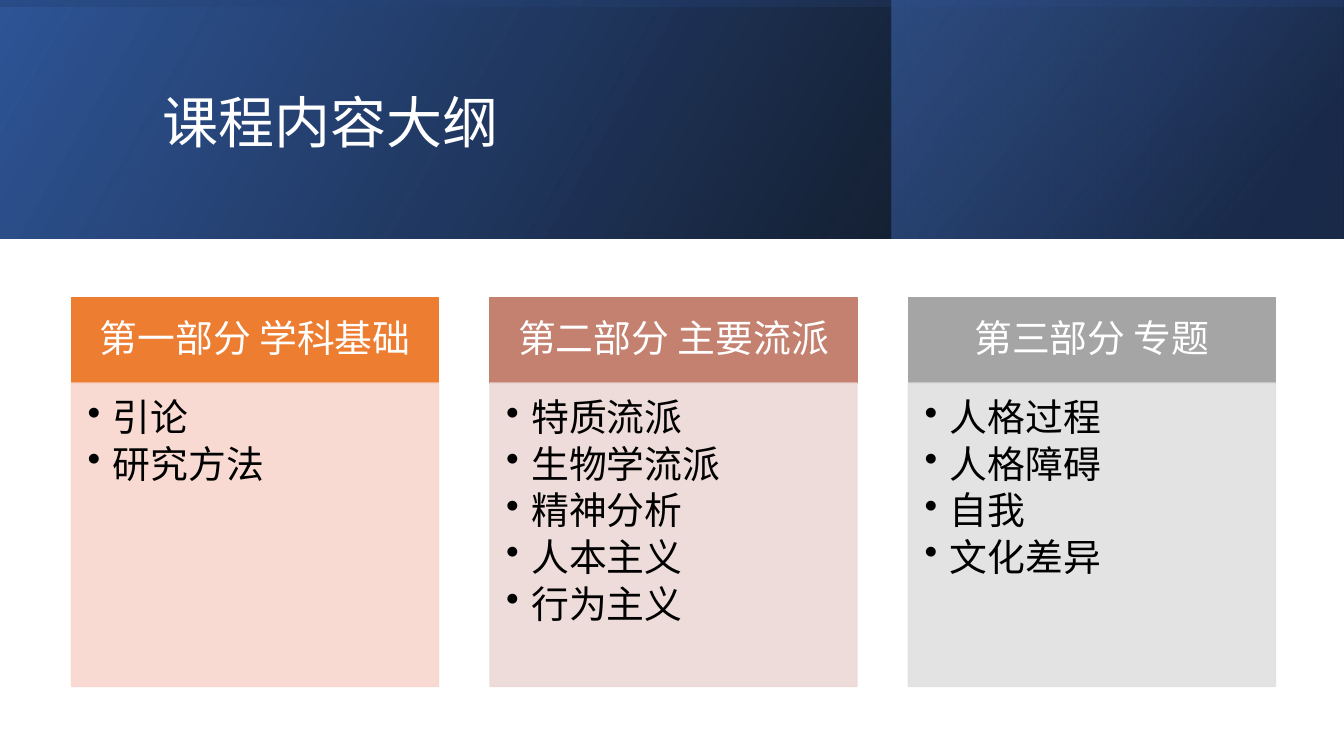
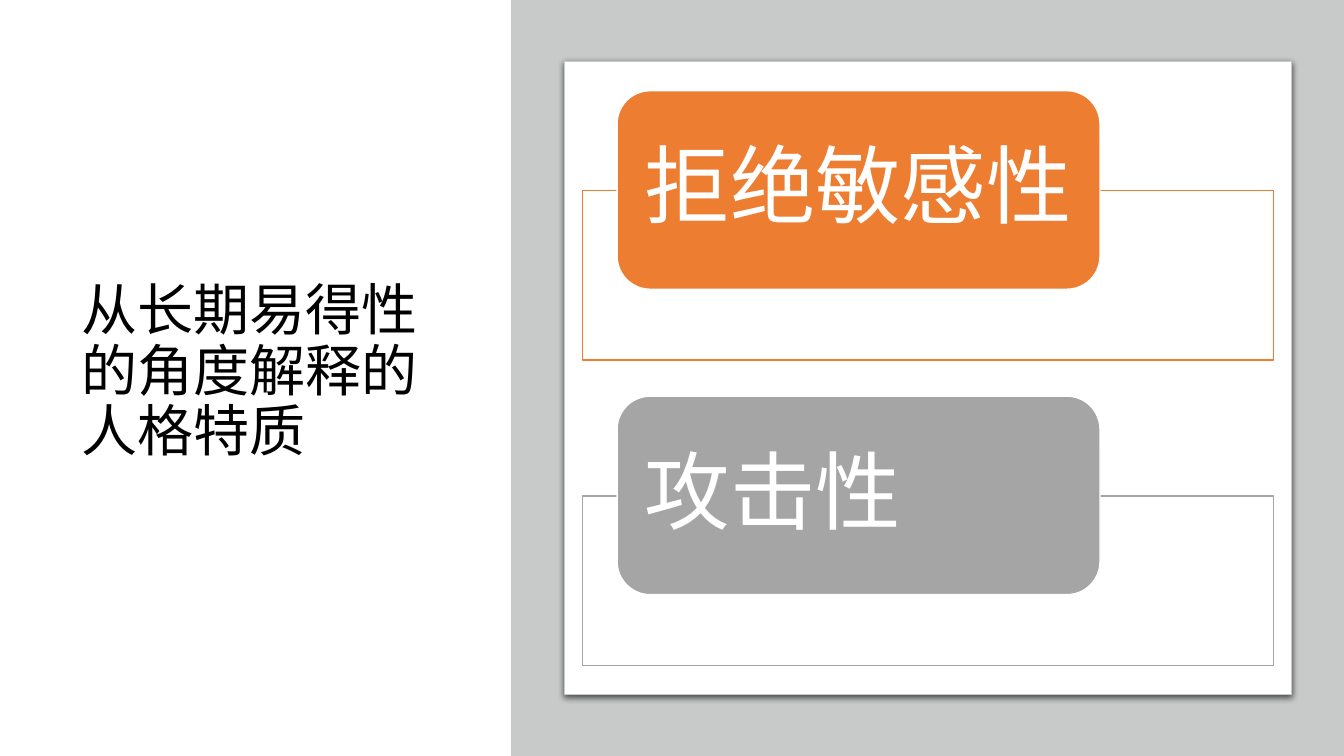
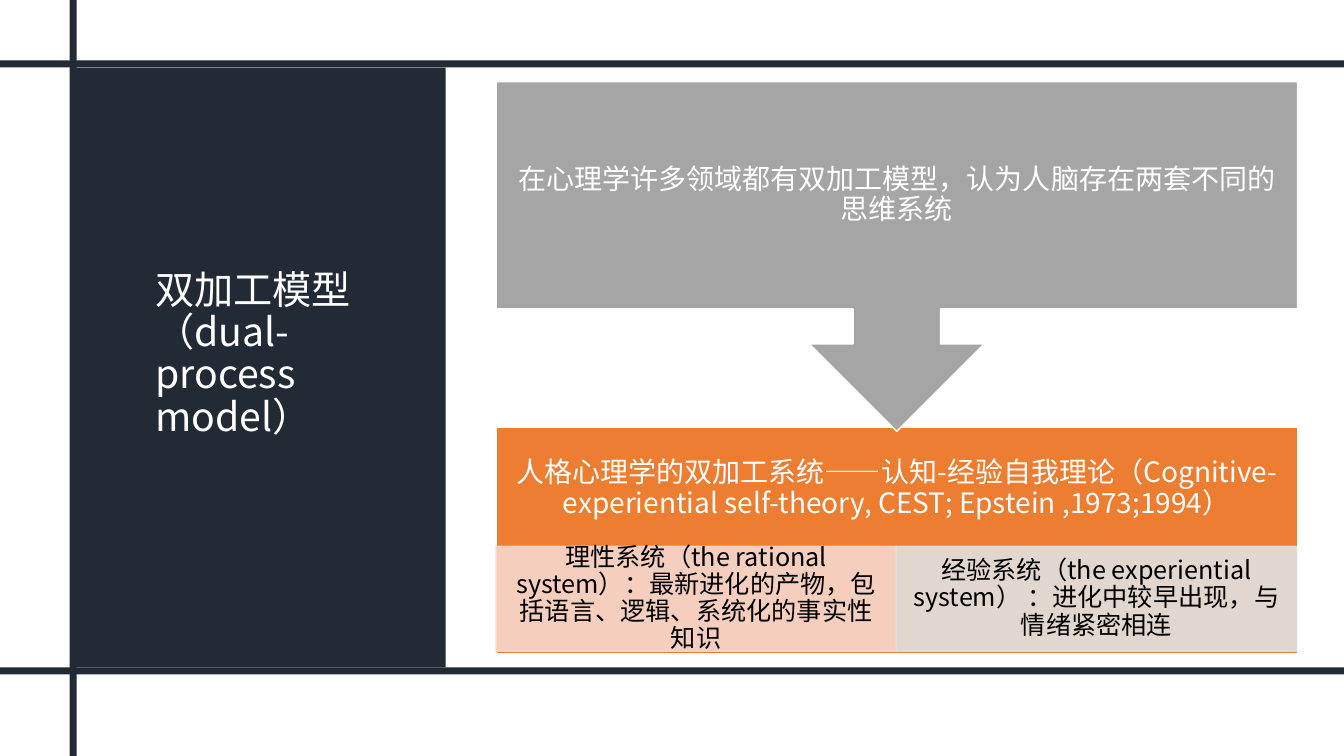
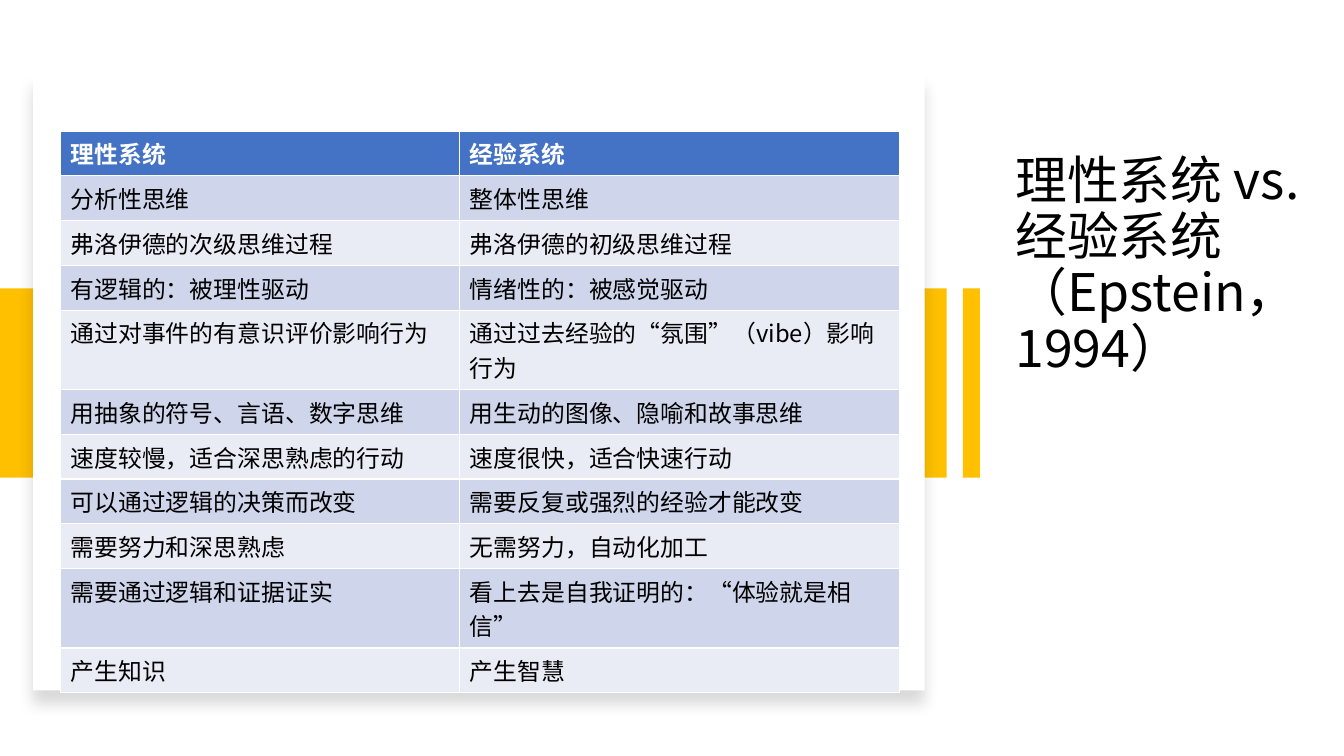
"""Build four slides of a personality psychology course."""
from lxml.etree import SubElement
from pptx import Presentation
from pptx.dml.color import RGBColor
from pptx.enum.shapes import MSO_SHAPE
from pptx.enum.text import MSO_ANCHOR, MSO_AUTO_SIZE, PP_ALIGN
from pptx.oxml.ns import qn
from pptx.util import Inches, Pt

FONT = "Noto Sans CJK SC"
WHITE = RGBColor(0xFF, 0xFF, 0xFF)
BLACK = RGBColor(0x00, 0x00, 0x00)
ORANGE = RGBColor(0xED, 0x7D, 0x31)
ROSE = RGBColor(0xC4, 0x81, 0x70)
GRAY = RGBColor(0xA5, 0xA5, 0xA5)
PEACH = RGBColor(0xF8, 0xD7, 0xCE)
BLUSH = RGBColor(0xED, 0xD9, 0xD7)
PALE = RGBColor(0xE1, 0xE1, 0xE1)
SILVER = RGBColor(0xC8, 0xCA, 0xCA)
SLATE = RGBColor(0x22, 0x2A, 0x35)
GOLD = RGBColor(0xFF, 0xC0, 0x00)
BLUE = RGBColor(0x44, 0x72, 0xC4)
ROYAL = RGBColor(0x2F, 0x55, 0x97)
NAVY = RGBColor(0x20, 0x38, 0x64)
BANDS = (RGBColor(0xE9, 0xEB, 0xF5), RGBColor(0xCF, 0xD5, 0xEA))

WIDE, HIGH = 13.33, 7.5
HEAD = 2.37

BANNER = [
    ((0, 0, WIDE, HEAD), 0, 330, [(0, BLACK, 96), (100, ROYAL, 100)]),
    ((8.84, 0, 4.48, HEAD), 0, 320, [(19, NAVY, 68), (100, BLUE, 48)]),
    (((WIDE - HEAD) / 2, (HEAD - WIDE) / 2, HEAD, WIDE), 270, 350,
     [(23, ROYAL, 16), (99, BLACK, 45)]),
]
PARTS = [
    ("第一部分 学科基础", ORANGE, PEACH, ["引论", "研究方法"]),
    ("第二部分 主要流派", ROSE, BLUSH,
     ["特质流派", "生物学流派", "精神分析", "人本主义", "行为主义"]),
    ("第三部分 专题", GRAY, PALE, ["人格过程", "人格障碍", "自我", "文化差异"]),
]
TRAITS = [("拒绝敏感性", ORANGE), ("攻击性", GRAY)]
CLAIM = "在心理学许多领域都有双加工模型，认为人脑存在两套不同的思维系统"
THEORY = ("人格心理学的双加工系统——认知-经验自我理论"
          "（Cognitive-experiential self-theory, CEST; Epstein ,1973;1994）")
MODES = [
    ("理性系统（the rational system）：最新进化的产物，包括语言、逻辑、系统化的事实性知识", PEACH),
    ("经验系统（the experiential system） ：进化中较早出现，与情绪紧密相连", PALE),
]
ROWS = [
    ("理性系统", "经验系统"),
    ("分析性思维", "整体性思维"),
    ("弗洛伊德的次级思维过程", "弗洛伊德的初级思维过程"),
    ("有逻辑的：被理性驱动", "情绪性的：被感觉驱动"),
    ("通过对事件的有意识评价影响行为", "通过过去经验的“氛围”（vibe）影响行为"),
    ("用抽象的符号、言语、数字思维", "用生动的图像、隐喻和故事思维"),
    ("速度较慢，适合深思熟虑的行动", "速度很快，适合快速行动"),
    ("可以通过逻辑的决策而改变", "需要反复或强烈的经验才能改变"),
    ("需要努力和深思熟虑", "无需努力，自动化加工"),
    ("需要通过逻辑和证据证实", "看上去是自我证明的：“体验就是相信”"),
    ("产生知识", "产生智慧"),
]


def style(par, size, color, align=PP_ALIGN.LEFT, lead=0.9, bold=False):
    par.alignment = align
    par.line_spacing = lead
    font = par.font
    font.size, font.bold, font.name = Pt(size), bold, FONT
    font.color.rgb = color
    SubElement(par._p.pPr.find(qn("a:defRPr")), qn("a:ea"), typeface=FONT)


def fade(shape, alpha):
    for color in shape._element.spPr.iter(qn("a:srgbClr")):
        SubElement(color, qn("a:alpha"), val=str(alpha * 1000))


def box(slide, at, fill=None, line=None, width=1, kind=MSO_SHAPE.RECTANGLE):
    shape = slide.shapes.add_shape(kind, *map(Inches, at))
    shape.shadow.inherit = False
    if fill is not None:
        shape.fill.solid()
        shape.fill.fore_color.rgb = fill
    if line is None:
        shape.line.fill.background()
    else:
        shape.line.color.rgb = line
        shape.line.width = Pt(width)
    return shape


def write(shape, text, size, color, pads, align=PP_ALIGN.CENTER,
          anchor=MSO_ANCHOR.MIDDLE, bullet=False):
    frame = shape.text_frame
    frame.text = text
    frame.word_wrap = True
    frame.auto_size = MSO_AUTO_SIZE.NONE
    frame.vertical_anchor = anchor
    (frame.margin_left, frame.margin_top,
     frame.margin_right, frame.margin_bottom) = map(Inches, pads)
    for par in frame.paragraphs:
        if bullet:
            props = par._p.get_or_add_pPr()
            props.set("marL", str(Inches(0.25)))
            props.set("indent", str(Inches(-0.25)))
            SubElement(props, qn("a:buChar"), char="•")
            par.space_after = Pt(size * 0.15)
        style(par, size, color, align)


def title(slide, text, at, size, color):
    head = slide.shapes.title
    head.left, head.top, head.width, head.height = map(Inches, at)
    write(head, text, size, color, (0.1, 0.05, 0.1, 0.05), PP_ALIGN.LEFT)
    slide.shapes._spTree.append(head._element)


def blend(shape, stops, angle):
    props = shape._element.spPr
    props.find(qn("a:xfrm")).set("flipH", "1")
    shape.fill.gradient()
    grad = props.find(qn("a:gradFill"))
    for part in list(grad):
        grad.remove(part)
    ramp = SubElement(grad, qn("a:gsLst"))
    for place, color, alpha in stops:
        stop = SubElement(ramp, qn("a:gs"), pos=str(place * 1000))
        tint = SubElement(stop, qn("a:srgbClr"), val=str(color))
        SubElement(tint, qn("a:alpha"), val=str(alpha * 1000))
    SubElement(grad, qn("a:lin"), ang=str(angle * 60000), scaled="0")


def shade(shape, alpha, blur, drop):
    effects = shape._element.spPr.find(qn("a:effectLst"))
    cast = SubElement(effects, qn("a:outerShdw"), blurRad=str(Pt(blur)),
                      dist=str(Pt(drop)), dir="5400000", algn="t",
                      rotWithShape="0")
    color = SubElement(cast, qn("a:srgbClr"), val=str(BLACK))
    SubElement(color, qn("a:alpha"), val=str(alpha * 1000))


def outline(slide):
    for at, turn, angle, stops in BANNER:
        band = box(slide, at)
        band.rotation = turn
        blend(band, stops, angle)
    title(slide, "课程内容大纲", (1.51, 0.38, 10.63, 1.72), 40, WHITE)
    for i, (name, dark, light, items) in enumerate(PARTS):
        left = 0.71 + i * 4.15
        top = box(slide, (left, 2.95, 3.64, 0.85), dark, dark)
        write(top, name, 27, WHITE, (0.21, 0.12, 0.21, 0.12))
        card = box(slide, (left, 3.8, 3.64, 3.01), light, light)
        fade(card, 90)
        write(card, "\n".join(items), 27, BLACK, (0.16, 0.16, 0.21, 0.24),
              PP_ALIGN.LEFT, MSO_ANCHOR.TOP, True)


def traits(slide):
    title(slide, "从长期易得性的角度解释的人格特质", (0.71, 0.69, 3.98, 6.02), 40, BLACK)
    box(slide, (5.07, 0, WIDE - 5.07, HIGH), SILVER)
    card = box(slide, (5.6, 0.61, 7.21, 6.28), WHITE, SILVER, 0.75)
    shade(card, 63, 4.5, 1.5)
    for i, (name, color) in enumerate(TRAITS):
        top = 0.9 + i * 3.03
        box(slide, (5.78, top + 0.99, 6.85, 1.68), WHITE, color)
        label = box(slide, (6.12, top, 4.79, 1.97), color, WHITE,
                    kind=MSO_SHAPE.ROUNDED_RECTANGLE)
        write(label, name, 61, WHITE, (0.18, 0, 0.1, 0), PP_ALIGN.LEFT)


def model(slide):
    box(slide, (0.72, 0.67, 3.7, 5.95), SLATE)
    title(slide, "双加工模型（dual-process model）", (1.44, 1.1, 2.22, 4.84), 28, WHITE)
    for at in ((0, 6.62, WIDE, 0.07), (0.69, 0, 0.07, HIGH), (0, 0.6, WIDE, 0.07)):
        box(slide, at, SLATE)
    base = box(slide, (4.92, 4.24, 7.95, 2.25), ORANGE, WHITE)
    write(base, THEORY, 20, WHITE, (0.16, 0.16, 0.16, 1.19))
    for i, (text, color) in enumerate(MODES):
        cell = box(slide, (4.92 + i * 3.97, 5.42, 3.97, 1.04), color, color)
        fade(cell, 90)
        write(cell, text, 18, BLACK, (0.14, 0.03, 0.14, 0.03))
    call = box(slide, (4.92, 0.81, 7.95, 3.47), GRAY, WHITE,
               kind=MSO_SHAPE.DOWN_ARROW_CALLOUT)
    write(call, CLAIM, 20, WHITE, (0.16, 0.16, 0.16, 0.16))


def versus(slide):
    title(slide, "理性系统 vs. 经验系统 （Epstein，1994）", (9.97, 1.09, 3.03, 3.11), 37, BLACK)
    box(slide, (0, 2.86, 9.39, 1.88), GOLD)
    card = box(slide, (0.33, 0.73, 8.84, 6.12), WHITE)
    shade(card, 15, 11, 10)
    box(slide, (9.55, 2.86, 0.17, 1.88), GOLD)
    table = slide.shapes.add_table(
        len(ROWS), 2, *map(Inches, (0.6, 1.3, 8.32, 4.97))).table
    for col, width in zip(table.columns, (3.96, 4.36)):
        col.width = Inches(width)
    for i, texts in enumerate(ROWS):
        table.rows[i].height = Inches(0.72 if i == 4 else 0.43)
        for cell, text in zip(table.rows[i].cells, texts):
            cell.text = text
            cell.fill.solid()
            cell.fill.fore_color.rgb = BANDS[i % 2] if i else BLUE
            style(cell.text_frame.paragraphs[0], 17, BLACK if i else WHITE,
                  lead=1.0, bold=i == 0)


def main():
    deck = Presentation()
    deck.slide_width, deck.slide_height = Inches(WIDE), Inches(HIGH)
    for build in (outline, traits, model, versus):
        build(deck.slides.add_slide(deck.slide_layouts[5]))
    deck.save("out.pptx")


if __name__ == "__main__":
    main()
